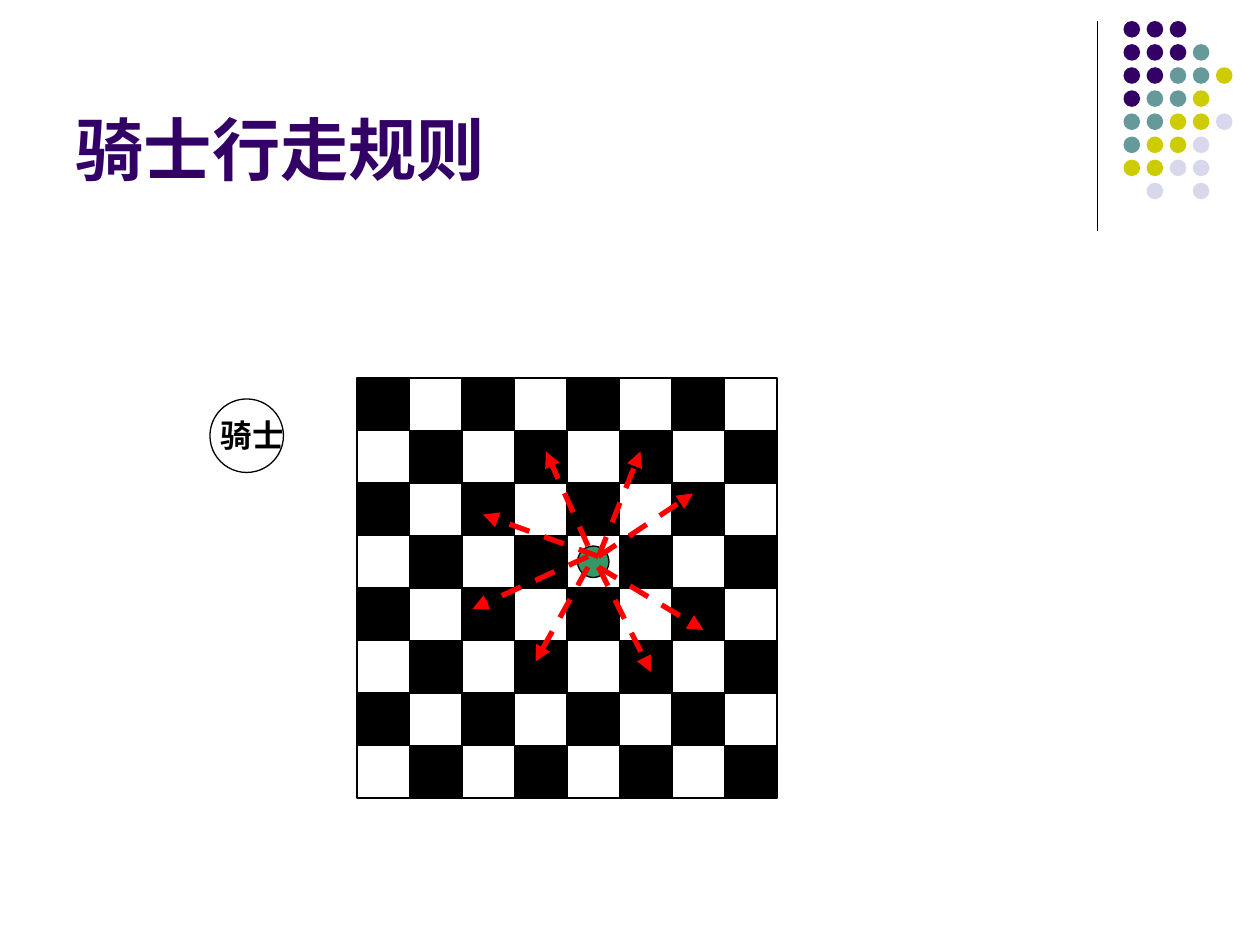
from lxml import etree
from pptx import Presentation
from pptx.dml.color import RGBColor
from pptx.enum import dml, shapes, text
from pptx.oxml.ns import qn
from pptx.util import Pt

TITLE, KNIGHT = "骑士行走规则", "骑士"
DOTS = ["PPP", "PPPT", "PPTTY", "PTTY", "TTYYL", "TYYL", "YYLL", " L L"]
DOT_COLORS = {"P": "330066", "T": "669999", "Y": "CCCC00", "L": "D8D8EC"}
DOT_LEFT, DOT_TOP, DOT_STEP, DOT_SIZE = 642, 12, 13.2, 9.5
BOARD_LEFT, BOARD_TOP, CELL, CELLS = 204, 216, 30, 8
MOVES = [
    (342, 318, 366, 258), (336, 312, 312, 258),
    (342, 324, 372, 384), (342, 324, 402, 360),
    (336, 318, 270, 348), (342, 318, 276, 294),
    (342, 318, 396, 282), (336, 324, 306, 378),
]


def rgb(value):
    """Turn a hex string into a colour."""
    return RGBColor.from_string(value)


def add_shape(parent, kind, x, y, w, h, fill=None, line=None):
    """Add a flat preset shape, with lengths in points."""
    sp = parent.shapes.add_shape(kind, Pt(x), Pt(y), Pt(w), Pt(h))
    sp.shadow.inherit = False
    if fill:
        sp.fill.solid()
        sp.fill.fore_color.rgb = rgb(fill)
    else:
        sp.fill.background()
    if line:
        sp.line.color.rgb = rgb(line)
        sp.line.width = Pt(0.75)
    else:
        sp.line.fill.background()


def add_line(parent, ends, color, width, arrow=False):
    """Add a straight line, or a dashed arrow."""
    c = parent.shapes.add_connector(shapes.MSO_CONNECTOR.STRAIGHT, *map(Pt, ends))
    c.line.color.rgb = rgb(color)
    c.line.width = Pt(width)
    if arrow:
        c.line.dash_style = dml.MSO_LINE.DASH
        ln = c.line._get_or_add_ln()
        etree.SubElement(ln, qn("a:tailEnd"), type="triangle")
    etree.SubElement(c._element.spPr, qn("a:effectLst"))


def write(sp, words, size, color, align, anchor):
    """Write one bold paragraph into a shape."""
    tf = sp.text_frame
    frame = {"word_wrap": True, "auto_size": text.MSO_AUTO_SIZE.NONE, "vertical_anchor": anchor}
    for name, value in frame.items():
        setattr(tf, name, value)
    p = tf.paragraphs[0]
    p.alignment = align
    r = p.add_run()
    r.text = words
    for name, value in {"name": "Arial", "size": Pt(size), "bold": True}.items():
        setattr(r.font, name, value)
    r.font.color.rgb = rgb(color)


def main():
    """Build the slide and save it."""
    prs = Presentation()
    prs.slide_width, prs.slide_height = Pt(720), Pt(540)
    s = prs.slides.add_slide(prs.slide_layouts[5])
    oval, rect = shapes.MSO_SHAPE.OVAL, shapes.MSO_SHAPE.RECTANGLE

    title = s.shapes.title
    place = {"left": 36, "top": 9.5, "width": 594, "height": 102}
    for name, value in place.items():
        setattr(title, name, Pt(value))
    write(title, TITLE, 39, "330066", text.PP_ALIGN.LEFT, text.MSO_ANCHOR.BOTTOM)

    add_line(s, (627, 12, 627, 132), "000000", 0.75)
    dots = s.shapes.add_group_shape()
    for row, codes in enumerate(DOTS):
        for col, code in enumerate(codes):
            if code in DOT_COLORS:
                add_shape(dots, oval, DOT_LEFT + col * DOT_STEP, DOT_TOP + row * DOT_STEP,
                          DOT_SIZE, DOT_SIZE, DOT_COLORS[code])

    board = s.shapes.add_group_shape()
    for row in range(CELLS):
        for col in range(CELLS):
            add_shape(board, rect, BOARD_LEFT + col * CELL, BOARD_TOP + row * CELL,
                      CELL, CELL, "FFFFFF" if (row + col) % 2 else "000000", "000000")

    knight = s.shapes.add_group_shape()
    add_shape(knight, oval, 120, 228, 42, 42, line="000000")
    label = knight.shapes.add_textbox(Pt(114), Pt(234), Pt(60), Pt(29))
    write(label, KNIGHT, 18, "000000", text.PP_ALIGN.CENTER, text.MSO_ANCHOR.TOP)

    add_shape(s, oval, 330, 312, 18, 18, "339966", "000000")
    moves = s.shapes.add_group_shape()
    for ends in MOVES:
        add_line(moves, ends, "FF0000", 3, arrow=True)

    prs.save("out.pptx")


if __name__ == "__main__":
    main()
